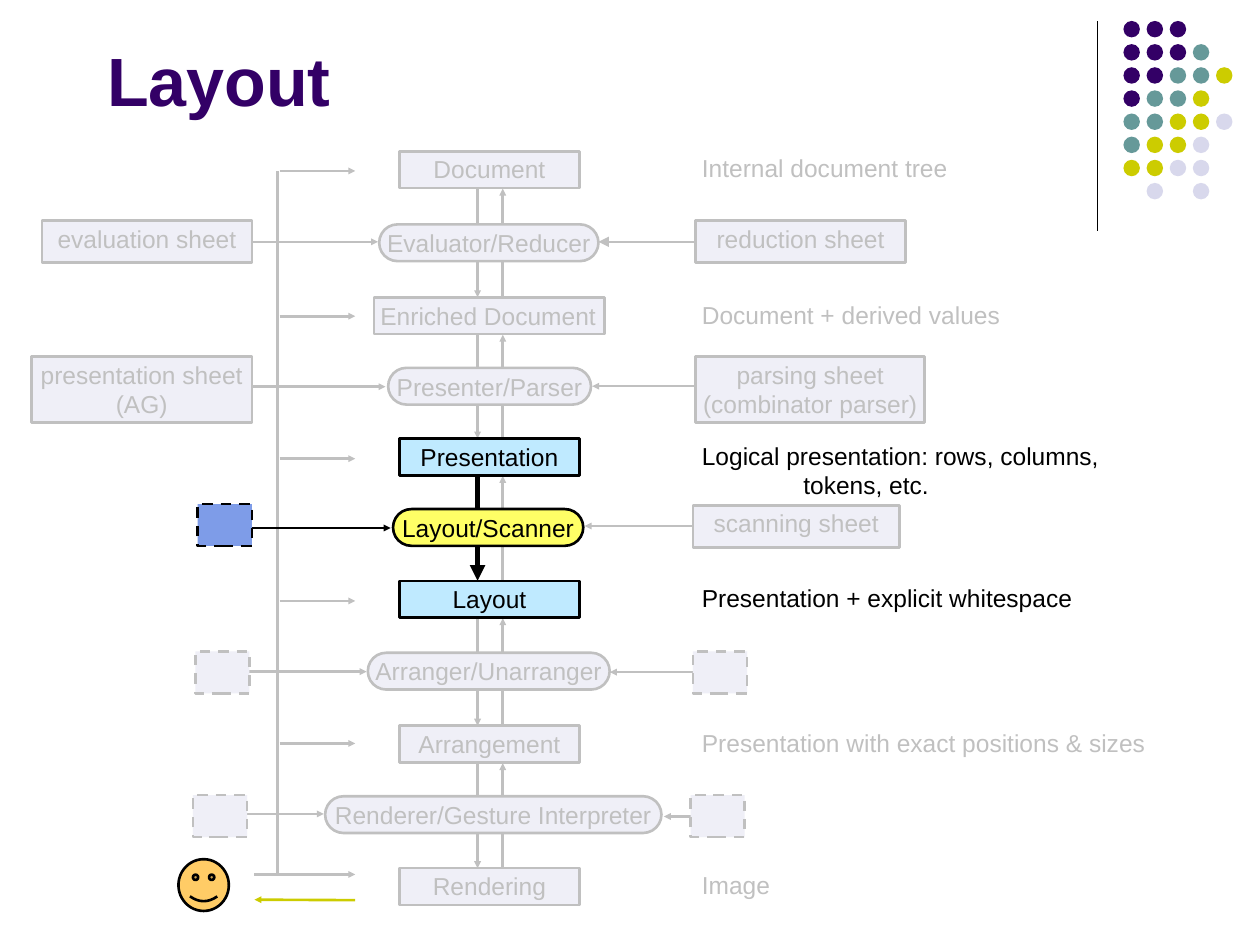
from pptx import Presentation
from pptx.dml.color import RGBColor as Color
from pptx.enum.dml import MSO_LINE as Dash
from pptx.enum.shapes import MSO_CONNECTOR as Link, MSO_SHAPE as Kind
from pptx.enum.text import MSO_ANCHOR as Anchor, PP_ALIGN as Align
from pptx.oxml.ns import qn
from pptx.util import Pt
from lxml.etree import SubElement as add_node

BLACK = Color(0, 0, 0)
GREY = Color(0xC0, 0xC0, 0xC0)
PALE = Color(0xEF, 0xEF, 0xF7)
SKY = Color(0xBF, 0xEA, 0xFF)
BLUE = Color(0x7E, 0x9C, 0xE8)
LEMON = Color(0xFF, 0xFF, 0x66)
PEACH = Color(0xFF, 0xCC, 0x66)
PLUM = Color(0x33, 0x00, 0x66)
TEAL = Color(0x66, 0x99, 0x99)
OLIVE = Color(0xCC, 0xCC, 0x00)
MIST = Color(0xD8, 0xD8, 0xEC)

TINTS = {"P": PLUM, "T": TEAL, "Y": OLIVE, "L": MIST}
DOTS = ("PPP", "PPPT", "PPTTY", "PTTY", "TTYYL", "TYYL", "YYLL", ".L.L")

LEVELS = (
    ("Document", 86.4, 97.7, "Internal document tree", 230, 44.6),
    ("Enriched Document", 169.9, 180.7, "Document + derived values", 215, 24),
    ("Presentation", 250.6, 262.1,
     "Logical presentation: rows, columns,\ntokens, etc.", 272, 26),
    ("Layout", 331.9, 343.4, "Presentation + explicit whitespace", 230, 44.6),
    ("Arrangement", 414.7, 424.8,
     "Presentation with exact positions & sizes", 284, 27.4),
    ("Rendering", 496.1, 499.7, "Image", 230, 44.6),
)
STEPS = (
    ("Evaluator/Reducer", 216.7, 128.2, 125.3),
    ("Presenter/Parser", 221.8, 210.2, 115.9),
    ("Layout/Scanner", 224.6, 290.9, 108.7),
    ("Arranger/Unarranger", 210.2, 373, 138.2),
    ("Renderer/Gesture Interpreter", 185.8, 455, 192.2),
)
SHEETS = (
    ("evaluation sheet", 24, 126, 120, 24),
    ("presentation sheet\n(AG)", 18, 203.8, 126, 37.5),
    ("", 113, 288, 31, 24),
    ("", 111.6, 372.2, 31, 24),
    ("", 110.2, 454.3, 31, 24),
    ("reduction sheet", 397.5, 126, 120, 24),
    ("parsing sheet\n(combinator parser)", 397.5, 203.8, 131, 37.5),
    ("scanning sheet", 396, 288.7, 118, 24),
    ("", 396, 372.2, 31, 24),
    ("", 394.6, 454.3, 31, 24),
)
INPUTS = (
    (144, 216, 138.2), (130.3, 220.3, 221), (133.2, 223.2, 301.7),
    (137.5, 209.5, 383.8), (113, 185, 465.1),
    (404.6, 338.4, 220.7), (400.3, 334.1, 300.6),
    (396.7, 348.5, 384.1), (396.7, 379.4, 466.6),
)
LIVE = {"Presentation", "Layout", "Layout/Scanner"}


def put(shape, text, size=14, color=GREY, bold=False, align=Align.CENTER,
        anchor=Anchor.TOP, wrap=False, pad=(3.6, 1.8), indent=0):
    frame = shape.text_frame
    frame.word_wrap = wrap
    frame.vertical_anchor = anchor
    frame.margin_left = frame.margin_right = Pt(pad[0])
    frame.margin_top = frame.margin_bottom = Pt(pad[1])
    frame.text = text
    for part in frame.paragraphs:
        part.alignment = align
        font = part.font
        font.name, font.size, font.bold = "Arial", Pt(size), bold
        font.color.rgb = color
    if indent:
        props = frame.paragraphs[-1]._p.get_or_add_pPr()
        props.set("marL", str(int(Pt(indent))))


class Board:
    def __init__(self, slide):
        self.slide = slide
        self.width = 1.5

    def title(self, text):
        shape = self.slide.shapes.title
        shape.left, shape.top, shape.width, shape.height = map(Pt, (54, 0, 612, 90))
        put(shape, text, size=39, color=PLUM, bold=True, align=Align.LEFT,
            anchor=Anchor.MIDDLE, wrap=True, pad=(7.2, 3.6))

    def shape(self, kind, box, fill, line=None, dash=False):
        item = self.slide.shapes.add_shape(kind, *map(Pt, box))
        item.shadow.inherit = False
        item.fill.solid()
        item.fill.fore_color.rgb = fill
        if line is None:
            item.line.fill.background()
        else:
            item.line.color.rgb = line
            item.line.width = Pt(self.width)
        if dash:
            item.line.dash_style = Dash.DASH
        return item

    def text(self, text, box, **style):
        put(self.slide.shapes.add_textbox(*map(Pt, box)), text, **style)

    def line(self, ends, color=GREY, width=None, head=None):
        item = self.slide.shapes.add_connector(Link.STRAIGHT, *map(Pt, ends))
        item.line.color.rgb = color
        item.line.width = Pt(width or self.width)
        props = item.element.spPr
        if head:
            add_node(props.find(qn("a:ln")), qn("a:tailEnd"),
                     type="triangle", w=head, len=head)
        add_node(props, qn("a:effectLst"))


def draw_dots(board):
    board.line((627, 12.2, 627, 131.8), BLACK, 0.75)
    for row, marks in enumerate(DOTS):
        for col, mark in enumerate(marks):
            if mark in TINTS:
                box = (642 + 13.22 * col, 12 + 13.22 * row, 9.4, 9.4)
                board.shape(Kind.OVAL, box, TINTS[mark])


def draw_flow(board):
    board.line((158.4, 97.9, 158.4, 499))
    for start, end, y in INPUTS:
        board.line((start, y, end, y), BLACK if y == 301.7 else GREY, head="sm")
    board.line((401.8, 138.2, 342, 138.2), head="med")
    for upper, lower in zip(LEVELS, LEVELS[1:]):
        top, low = upper[1], lower[1]
        board.line((287.3, low + 6, 287.3, top + 21.4), head="sm")
        if upper[0] in LIVE and lower[0] in LIVE:
            board.line((272.9, top + 18, 272.9, low), BLACK, 3, "med")
        else:
            board.line((272.9, top + 21, 272.9, low), head="sm")
    for level in LEVELS:
        y = level[2]
        board.line((159.8, y, 203, y), head="sm")
    board.line((145.4, 499.7, 159.8, 499.7))
    board.line((203, 514.4, 145.4, 514.1), OLIVE, head="sm")


def draw_nodes(board):
    for name, left, top, width in STEPS:
        live = name in LIVE
        ink = BLACK if live else GREY
        pill = board.shape(Kind.ROUNDED_RECTANGLE, (left, top, width, 21),
                           LEMON if live else PALE, ink)
        pill.adjustments[0] = 0.5
        put(pill, name, color=ink, anchor=Anchor.MIDDLE, pad=(0, 0))
    for name, top, _, note, width, height in LEVELS:
        live = name in LIVE
        ink = BLACK if live else GREY
        wide = name == "Enriched Document"
        box = (213.8, top, 131.8, 21) if wide else (228.2, top, 103, 21)
        put(board.shape(Kind.RECTANGLE, box, SKY if live else PALE, ink), name,
            color=ink, align=Align.LEFT if wide else Align.CENTER)
        board.text(note, (394, top - 2.3, width, height), color=ink,
                   align=Align.LEFT, wrap=True, pad=(7.2, 3.6),
                   indent=58 if "\n" in note else 0)
    for name, *box in SHEETS:
        live = box[0] == 113
        item = board.shape(Kind.RECTANGLE, box, BLUE if live else PALE,
                           BLACK if live else GREY, dash=not name)
        if name:
            put(item, name)
    board.shape(Kind.SMILEY_FACE, (102, 491, 28.8, 29.6), PEACH, BLACK)


def main():
    deck = Presentation()
    deck.slide_width, deck.slide_height = Pt(720), Pt(540)
    board = Board(deck.slides.add_slide(deck.slide_layouts[5]))
    board.title("Layout")
    draw_dots(board)
    draw_flow(board)
    draw_nodes(board)
    deck.save("out.pptx")


if __name__ == "__main__":
    main()
